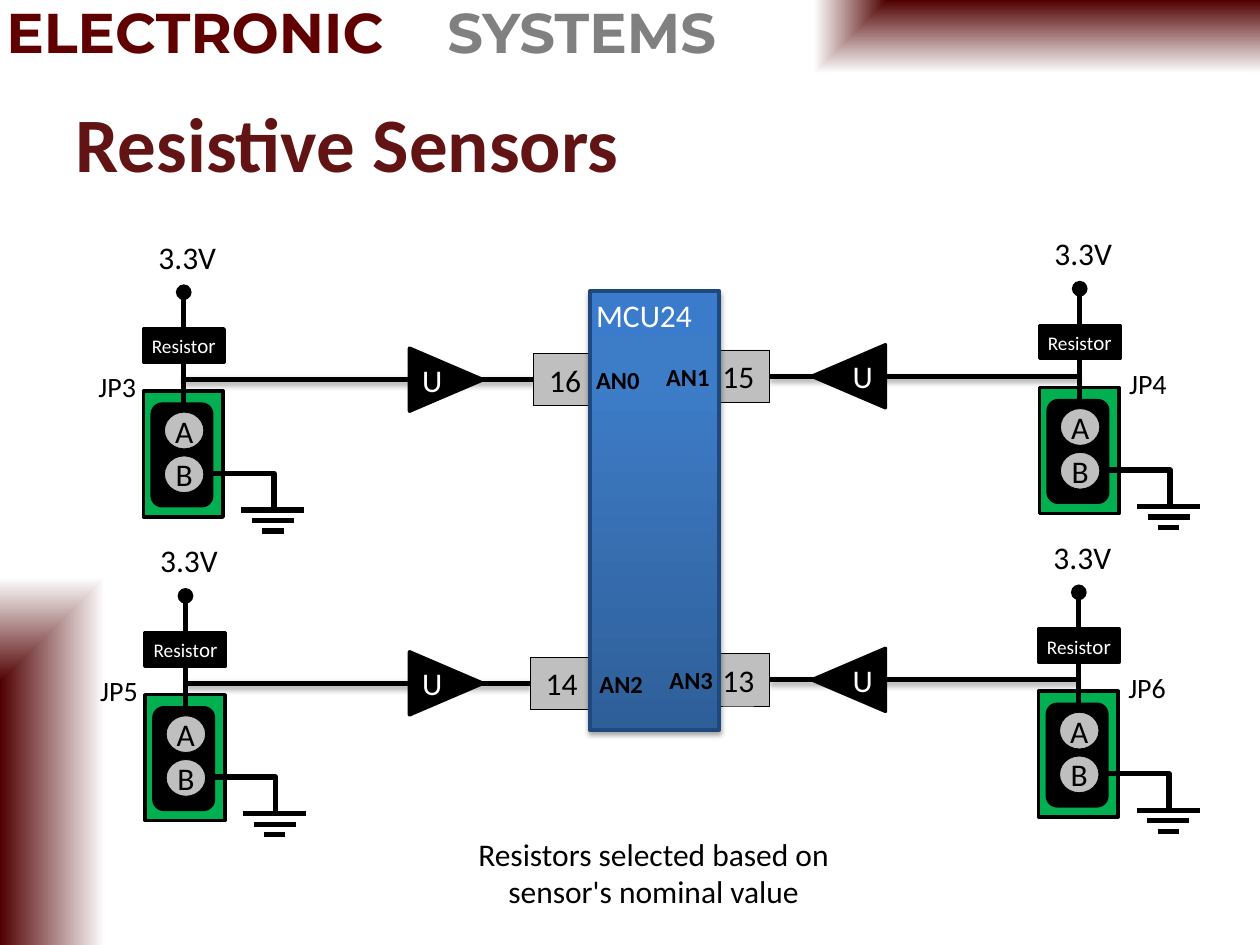
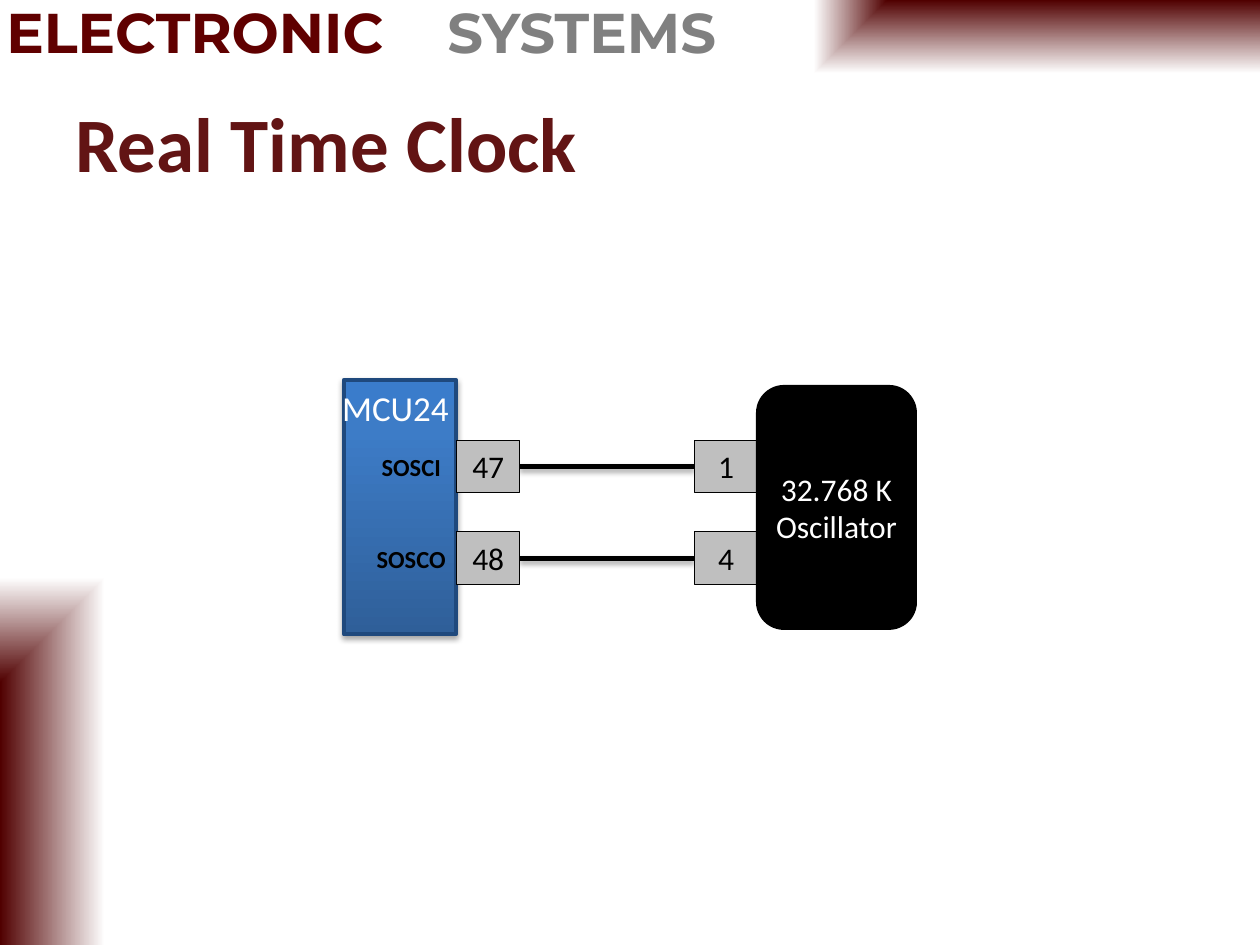
from dataclasses import dataclass

from pptx import Presentation
from pptx.dml.color import RGBColor
from pptx.enum.shapes import MSO_CONNECTOR, MSO_SHAPE
from pptx.enum.text import MSO_ANCHOR, PP_ALIGN
from pptx.oxml import parse_xml
from pptx.oxml.ns import nsdecls, qn
from pptx.util import Pt

RECT, ROUNDED = MSO_SHAPE.RECTANGLE, MSO_SHAPE.ROUNDED_RECTANGLE
OVAL, TRIANGLE = MSO_SHAPE.OVAL, MSO_SHAPE.ISOSCELES_TRIANGLE
STRAIGHT, ELBOW = MSO_CONNECTOR.STRAIGHT, MSO_CONNECTOR.ELBOW
CENTER, LEFT, MIDDLE = PP_ALIGN.CENTER, PP_ALIGN.LEFT, MSO_ANCHOR.MIDDLE


@dataclass(frozen=True)
class Theme:
    font: str = "Calibri"
    wordmark_font: str = "Montserrat"
    title: str = "621414"
    maroon: str = "600000"
    gray: str = "808080"
    band: str = "500000"
    black: str = "000000"
    white: str = "FFFFFF"
    pin: str = "BFBFBF"
    connector: str = "00B050"
    chip_edge: str = "1F497D"
    chip_stops: tuple = ((0, "2F5F99"), (80, "3D7CC7"), (100, "3A7CCB"))
    title_size: int = 44
    wordmark_size: int = 32
    chip_size: int = 20
    body_size: int = 18
    jumper_size: int = 16
    signal_size: int = 14
    resistor_sizes: tuple = (11, 12)


THEME = Theme()
BAND_STOPS = ((0, THEME.band), (100, THEME.white))
CHIP_DIRECTION = '<a:lin ang="16200000" scaled="0"/>'
SHADOW = (f'<a:outerShdw {nsdecls("a")} blurRad="40000" dist="23000" dir="5400000" '
          'rotWithShape="0"><a:srgbClr val="000000"><a:alpha val="35000"/>'
          '</a:srgbClr></a:outerShdw>')
CHIP_NAME = "MCU24"
PIN_W, PIN_H = 36, 30


def box(slide, preset, x, y, w, h, text="", fill=None, stops=None, direction="",
        outline=None, weight=2, shadow=False, size=THEME.body_size,
        color=THEME.black, bold=False, font=THEME.font):
    """Add a shape, or a text box when preset is None, with centred text."""
    place = Pt(x), Pt(y), Pt(w), Pt(h)
    if preset is None:
        shape = slide.shapes.add_textbox(*place)
    else:
        shape = slide.shapes.add_shape(preset, *place)
        props = shape.element.spPr
        if stops:
            stop_xml = "".join(f'<a:gs pos="{pos * 1000}"><a:srgbClr val="{rgb}"/></a:gs>'
                               for pos, rgb in stops)
            props.insert(2, parse_xml(f'<a:gradFill {nsdecls("a")} rotWithShape="1">'
                                      f'<a:gsLst>{stop_xml}</a:gsLst>{direction}</a:gradFill>'))
        else:
            shape.fill.solid()
            shape.fill.fore_color.rgb = RGBColor.from_string(fill)
        if outline:
            shape.line.color.rgb = RGBColor.from_string(outline)
            shape.line.width = Pt(weight)
        else:
            shape.line.fill.background()
        shape.shadow.inherit = False
        if shadow:
            props.find(qn("a:effectLst")).append(parse_xml(SHADOW))
    if text:
        frame = shape.text_frame
        frame.text = text
        frame.word_wrap = True
        frame.vertical_anchor = MIDDLE
        frame.margin_left = frame.margin_right = frame.margin_top = frame.margin_bottom = 0
        for paragraph in frame.paragraphs:
            paragraph.alignment = CENTER
            for run in paragraph.runs:
                run.font.name, run.font.size, run.font.bold = font, Pt(size), bold
                run.font.color.rgb = RGBColor.from_string(color)
    return shape


def wire(slide, x1, y1, x2, y2, kind=STRAIGHT, shadow=False):
    """Add a black 3 pt line, with or without the soft shadow."""
    line = slide.shapes.add_connector(kind, Pt(x1), Pt(y1), Pt(x2), Pt(y2))
    line.line.color.rgb = RGBColor.from_string(THEME.black)
    line.line.width = Pt(3)
    effects = parse_xml(f'<a:effectLst {nsdecls("a")}/>')
    if shadow:
        effects.append(parse_xml(SHADOW))
    line.element.spPr.append(effects)
    return line


prs = Presentation()
prs.slide_width, prs.slide_height = Pt(720), Pt(540)
layout = prs.slide_layouts[5]

# Slides and titles
slides = []
for heading in ("Resistive Sensors", "Real Time Clock"):
    slide = prs.slides.add_slide(layout)
    title = slide.shapes.title
    title.left, title.top, title.width, title.height = Pt(36), Pt(36), Pt(648), Pt(90)
    title.text_frame.text = heading
    title.text_frame.vertical_anchor = MIDDLE
    title.text_frame.paragraphs[0].alignment = LEFT
    title_font = title.text_frame.paragraphs[0].runs[0].font
    title_font.name, title_font.size, title_font.bold = THEME.font, Pt(THEME.title_size), True
    title_font.color.rgb = RGBColor.from_string(THEME.title)
    slides.append(slide)
sensors, clock = slides

# Corner bands and wordmark, moved to the shared layout
shared = []
for x, y, w, h, focus in ((210, 0, 510, 84, 'l="100000" b="100000"'),
                          (0, 120, 120, 420, 't="100000" r="100000"')):
    shared.append(box(sensors, RECT, x, y, w, h, stops=BAND_STOPS,
                      direction=f'<a:path path="rect"><a:fillToRect {focus}/></a:path>'))
for word, x, w, color in (("ELECTRONIC", 0, 223, THEME.maroon),
                          ("SYSTEMS", 246, 173, THEME.gray)):
    shared.append(box(sensors, None, x, 0, w, 35, word, size=THEME.wordmark_size,
                      color=color, bold=True, font=THEME.wordmark_font))
for placeholder in list(layout.placeholders)[1:]:
    layout.shapes.element.remove(placeholder.element)
for part in shared:
    layout.shapes.element.append(part.element)

# Resistive sensors: jumper, pole x and y, pin, pin x, signal, signal centre x
channels = (
    ("JP3", 105, 167, "16", 305, "AN0", 353),
    ("JP5", 106, 340.5, "14", 303, "AN2", 355),
    ("JP4", 617, 165, "15", 404, "AN1", 393),
    ("JP6", 616.5, 338.5, "13", 404, "AN3", 395),
)
for jumper, x, y, pin, pin_x, signal, signal_x in channels:
    on_left = x < 360
    wire_y = y + 50

    # Signal wire, pin and buffer
    wire(sensors, x, wire_y, pin_x if on_left else pin_x + PIN_W, wire_y, shadow=True)
    box(sensors, RECT, pin_x, wire_y - PIN_H / 2, PIN_W, PIN_H, pin,
        fill=THEME.pin, outline=THEME.black, weight=0.5)
    buffer_x = 255 if on_left else 485
    buffer = box(sensors, TRIANGLE, buffer_x - 18, wire_y - 21, 36, 42,
                 fill=THEME.black, outline=THEME.black)
    buffer.rotation = 90 if on_left else 270
    box(sensors, None, buffer_x + (-22 if on_left else -6), wire_y - 14.5, 28, 29, "U",
        color=THEME.white)

    # Labels
    box(sensors, None, x + (-67 if on_left else 10), y + 40.5, 58, 27, jumper,
        size=THEME.jumper_size)
    box(sensors, None, x - 31, y - 35, 66, 29, "3.3V")

    # Ground symbol
    for step, half in enumerate((18, 12, 6)):
        ground_y = y + 124.5 + 6 * step
        wire(sensors, x + 51 - half, ground_y, x + 51 + half, ground_y)

    # Two-way connector
    box(sensors, RECT, x - 23, y + 56.5, 45.5, 72, fill=THEME.connector, outline=THEME.black)
    box(sensors, ROUNDED, x - 18, y + 64, 34, 58, fill=THEME.black, outline=THEME.black)
    for row, terminal in enumerate("AB"):
        box(sensors, OVAL, x - 11, y + 68.5 + 25 * row, 22.5, 21, terminal,
            fill=THEME.pin, outline=THEME.black, weight=0.5)

    # Supply pole with resistor
    pole = wire(sensors, x, y, x, y + 64.5)
    pole.line._get_or_add_ln().append(parse_xml(f'<a:headEnd {nsdecls("a")} type="oval"/>'))
    resistor = box(sensors, RECT, x - 23, y + 21, 46, 19, "Resist",
                   fill=THEME.black, outline=THEME.black,
                   size=THEME.resistor_sizes[0], color=THEME.white)
    ending = resistor.text_frame.paragraphs[0].add_run()
    ending.text = "or"
    ending.font.name, ending.font.size = THEME.font, Pt(THEME.resistor_sizes[1])
    ending.font.color.rgb = RGBColor.from_string(THEME.white)

    # Lead to ground
    lead = wire(sensors, x + 13.5, y + 103.5, x + 50.5, y + 124.5, ELBOW)
    lead.element.spPr.find(qn("a:prstGeom")).get_or_add_avLst().append(
        parse_xml(f'<a:gd {nsdecls("a")} name="adj1" fmla="val 102900"/>'))

# Controller over the pins, with its signal names
box(sensors, RECT, 337, 166.5, 74, 250.5, stops=THEME.chip_stops, direction=CHIP_DIRECTION,
    outline=THEME.chip_edge, weight=2.25, shadow=True)
box(sensors, None, 337, 165.5, 62, 29, CHIP_NAME, color=THEME.white)
for jumper, x, y, pin, pin_x, signal, signal_x in channels:
    box(sensors, None, signal_x - 20, y + 38, 40, 24, signal,
        size=THEME.signal_size, bold=True)
box(sensors, None, 230, 473, 287, 51,
    "Resistors selected based on\nsensor's nominal value")

# Real time clock: controller, pins, wires and oscillator
box(clock, RECT, 196.5, 217, 64, 145.5, stops=THEME.chip_stops, direction=CHIP_DIRECTION,
    outline=THEME.chip_edge, weight=2.25, shadow=True)
box(clock, None, 194, 217, 64, 32, CHIP_NAME, size=THEME.chip_size, color=THEME.white)
for row, (signal, chip_pin, crystal_pin) in enumerate((("SOSCI", "47", "1"),
                                                       ("SOSCO", "48", "4"))):
    wire_y = 266.5 + 52.5 * row
    wire(clock, 297, wire_y, 397, wire_y, shadow=True)
    for pin, pin_x in ((chip_pin, 261), (crystal_pin, 397)):
        box(clock, RECT, pin_x, wire_y - PIN_H / 2, PIN_W, PIN_H, pin,
            fill=THEME.pin, outline=THEME.black, weight=0.5)
    box(clock, None, 210, wire_y - 12, 50, 24, signal, size=THEME.signal_size, bold=True)
box(clock, ROUNDED, 433, 221, 90, 138, "32.768 K\nOscillator",
    fill=THEME.black, outline=THEME.black, color=THEME.white)

prs.save("out.pptx")
